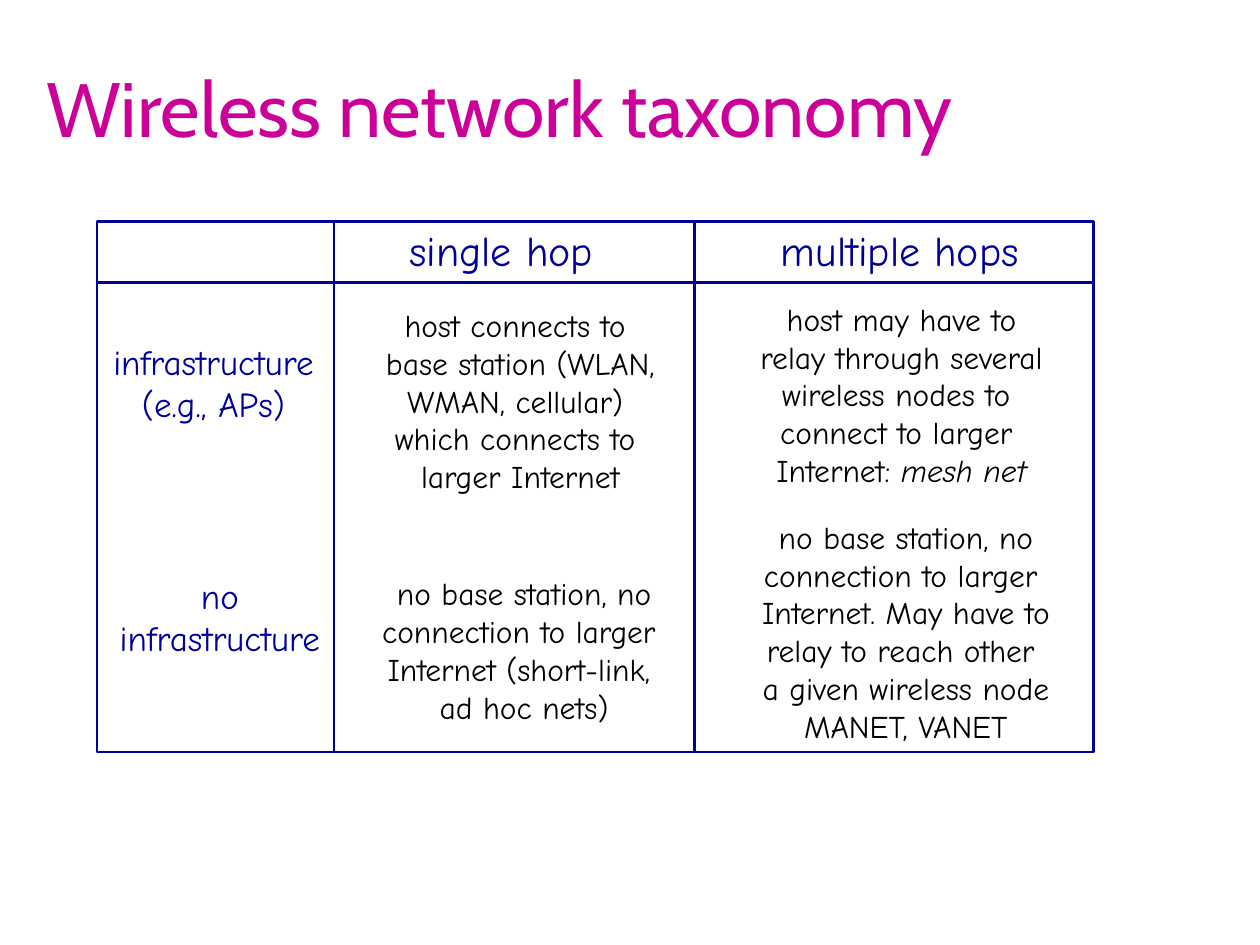
from dataclasses import dataclass

from lxml.etree import SubElement
from pptx import Presentation
from pptx.dml.color import RGBColor
from pptx.enum.shapes import MSO_CONNECTOR, MSO_SHAPE
from pptx.enum.text import MSO_ANCHOR, MSO_AUTO_SIZE, PP_ALIGN
from pptx.oxml.ns import qn
from pptx.slide import Slide
from pptx.util import Inches, Pt

MAGENTA = RGBColor(0xCC, 0x00, 0x99)
NAVY = RGBColor(0x00, 0x00, 0x99)
BLACK = RGBColor(0x00, 0x00, 0x00)

SLIDE_WIDTH, SLIDE_HEIGHT = Inches(10), Inches(7.5)
COLUMN = SLIDE_WIDTH / 100
ROW = SLIDE_HEIGHT / 75

# Frame edges and dividers, in grid columns and rows
LEFT, FIRST_DIVIDER, SECOND_DIVIDER, RIGHT = 7.7, 26.5, 55.1, 86.8
TOP, HEADER_BOTTOM, BOTTOM = 17.6, 22.4, 59.7
RULE_WIDTH = Pt(1.5)


@dataclass(frozen=True)
class TextStyle:
    size: int
    color: RGBColor
    name: str = "Comic Neue"
    alignment: PP_ALIGN = PP_ALIGN.CENTER
    anchor: MSO_ANCHOR = MSO_ANCHOR.TOP
    wrap: bool = False


TITLE = TextStyle(44, MAGENTA, "Cabin", PP_ALIGN.LEFT, MSO_ANCHOR.MIDDLE, True)
COLUMN_HEAD = TextStyle(24, NAVY, alignment=PP_ALIGN.LEFT)
ROW_HEAD = TextStyle(20, NAVY)
BODY = TextStyle(18, BLACK)


@dataclass(frozen=True)
class Label:
    """Text lines in a box measured in grid columns and rows."""
    column: float
    row: float
    columns: float
    rows: float
    style: TextStyle
    lines: tuple[str, ...]
    italic_ending: str = ""


LABELS = (
    Label(2.7, 2.3, 95.1, 12.3, TITLE, ("Wireless network taxonomy",)),
    Label(31.5, 17.3, 17.4, 5.1, COLUMN_HEAD, ("single hop",)),
    Label(61, 17.3, 22.6, 5.1, COLUMN_HEAD, ("multiple hops",)),
    Label(6.5, 26.5, 20.9, 7.7, ROW_HEAD, ("infrastructure", "(e.g., APs)")),
    Label(7, 45.1, 20.9, 7.7, ROW_HEAD, ("no", "infrastructure")),
    Label(29.1, 23.8, 24.4, 16.2, BODY, (
        "host connects to ", "base station (WLAN,", "WMAN, cellular) ",
        "which connects to ", "larger Internet")),
    Label(28.1, 45.1, 27, 13.1, BODY, (
        "no base station, no", "connection to larger ",
        "Internet (short-link, ", "ad hoc nets)")),
    Label(58, 23.3, 27.1, 16.2, BODY, (
        "host may have to", "relay through several", "wireless nodes to ",
        "connect to larger ", "Internet: "), "mesh net"),
    Label(57.9, 40.6, 28, 19.2, BODY, (
        "no base station, no", "connection to larger ",
        "Internet. May have to", "relay to reach other ",
        "a given wireless node", "MANET, VANET")),
)

DIVIDERS = (
    (LEFT, HEADER_BOTTOM, RIGHT, HEADER_BOTTOM),
    (FIRST_DIVIDER, TOP, FIRST_DIVIDER, BOTTOM),
    (SECOND_DIVIDER, TOP, SECOND_DIVIDER, BOTTOM),
)


def on_grid(column: float, row: float, *more: float) -> list[int]:
    """Turn alternating column and row counts into slide lengths."""
    return [round(value * (ROW if index % 2 else COLUMN))
            for index, value in enumerate((column, row, *more))]


def add_label(slide: Slide, label: Label) -> None:
    style = label.style
    box = slide.shapes.add_textbox(
        *on_grid(label.column, label.row, label.columns, label.rows))
    frame = box.text_frame
    frame_format = {
        "word_wrap": style.wrap,
        "vertical_anchor": style.anchor,
        "auto_size": (MSO_AUTO_SIZE.NONE if style.wrap
                      else MSO_AUTO_SIZE.SHAPE_TO_FIT_TEXT),
    }
    for attribute, value in frame_format.items():
        setattr(frame, attribute, value)
    frame.text = "\n".join(label.lines)
    if label.italic_ending:
        ending = frame.paragraphs[-1].add_run()
        ending.text = label.italic_ending
        ending.font.italic = True
    font_format = {"name": style.name, "size": Pt(style.size)}
    for paragraph in frame.paragraphs:
        paragraph.alignment = style.alignment
        for run in paragraph.runs:
            for attribute, value in font_format.items():
                setattr(run.font, attribute, value)
            run.font.color.rgb = style.color


def add_frame(slide: Slide) -> None:
    shape = slide.shapes.add_shape(
        MSO_SHAPE.RECTANGLE, *on_grid(LEFT, TOP, RIGHT - LEFT, BOTTOM - TOP))
    shape.shadow.inherit = False
    shape.fill.background()
    shape.line.color.rgb = NAVY
    shape.line.width = RULE_WIDTH


def add_divider(slide: Slide, ends: tuple[float, ...]) -> None:
    connector = slide.shapes.add_connector(
        MSO_CONNECTOR.STRAIGHT, *on_grid(*ends))
    connector.line.color.rgb = NAVY
    connector.line.width = RULE_WIDTH
    SubElement(connector._element.spPr, qn("a:effectLst"))


def main() -> None:
    presentation = Presentation()
    presentation.slide_width = SLIDE_WIDTH
    presentation.slide_height = SLIDE_HEIGHT
    slide = presentation.slides.add_slide(presentation.slide_layouts[6])
    for label in LABELS:
        add_label(slide, label)
    add_frame(slide)
    for ends in DIVIDERS:
        add_divider(slide, ends)
    presentation.save("out.pptx")


if __name__ == "__main__":
    main()
